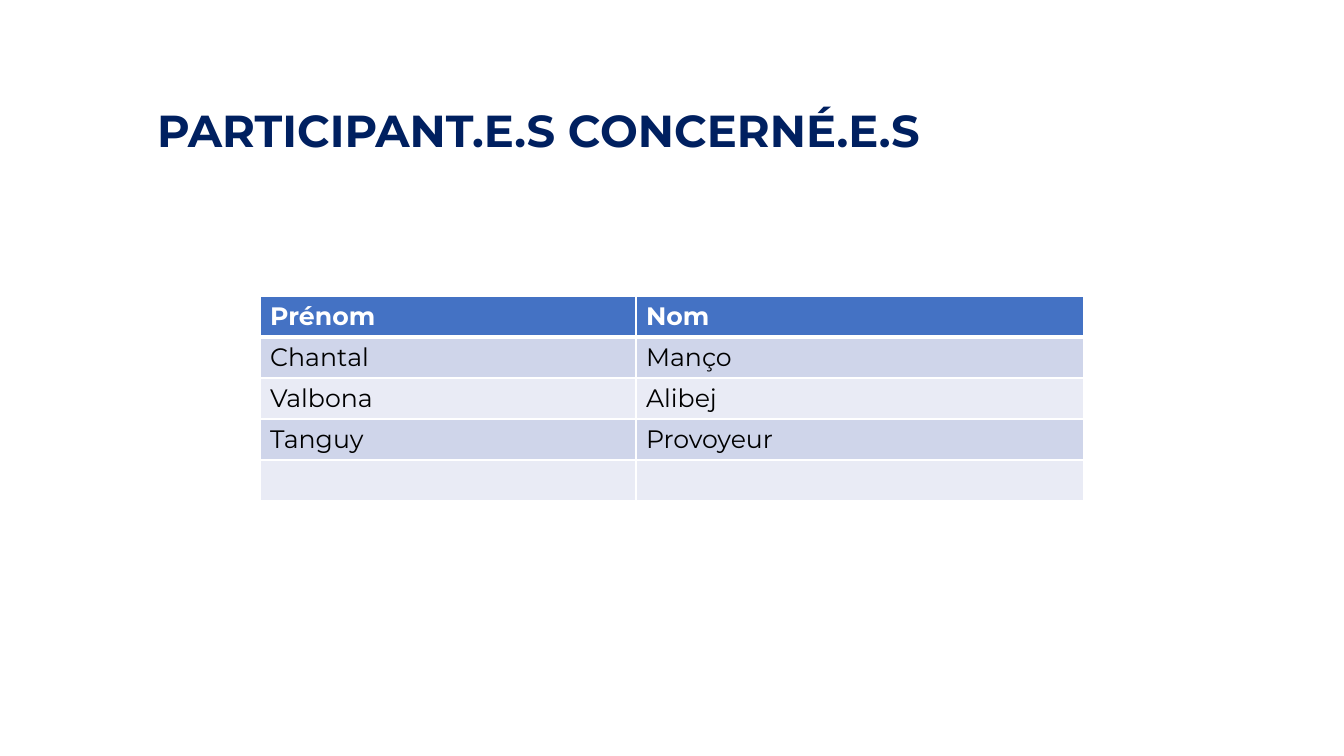
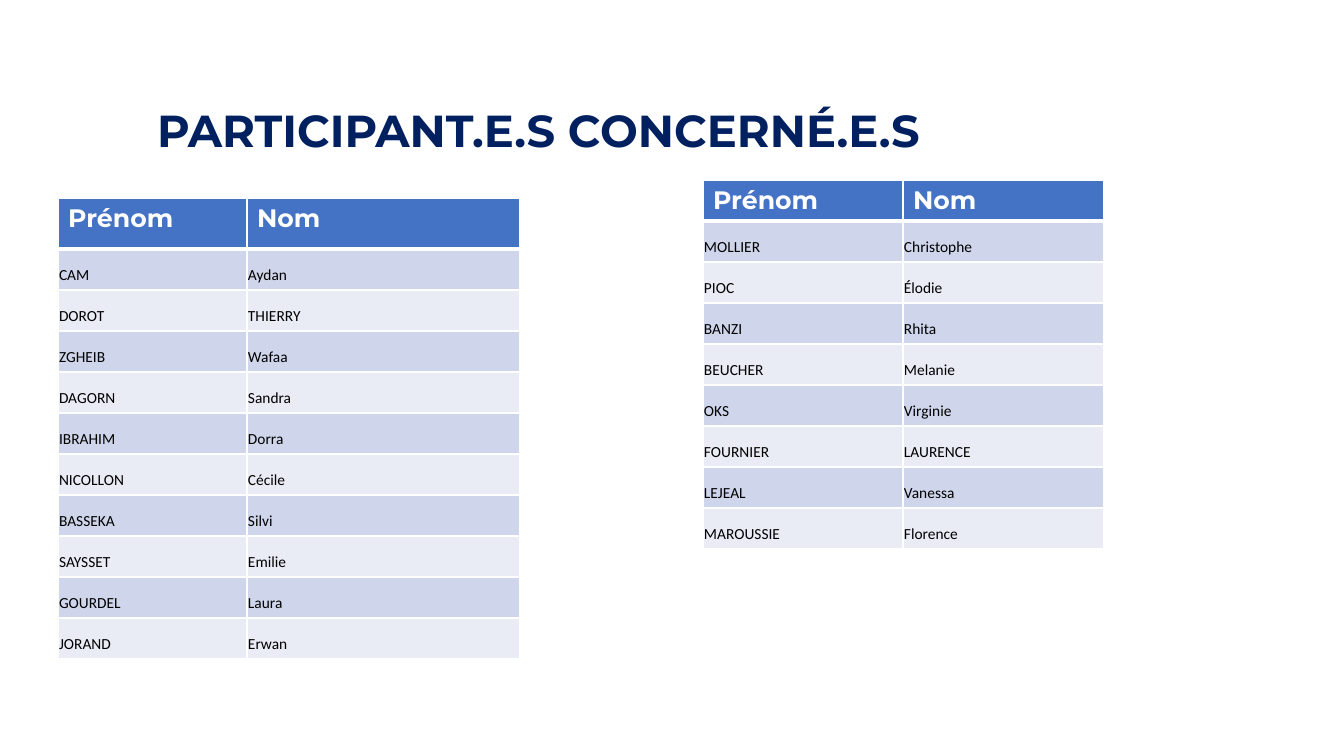
import pptx
import pptx.dml.color
import pptx.enum.text
import pptx.oxml
import pptx.oxml.ns
import pptx.util
from dataclasses import dataclass

# Content: lengths in px
TITLE = "PARTICIPANT.E.S CONCERNÉ.E.S"
TITLE_BOX = (147, 98, 794, 64)
HEADINGS = ("Prénom", "Nom")
ROW_HEIGHT = 41

SLIDES = [
    [
        {
            "at": (260, 296), "columns": (376, 448), "header": 41, "style": "large",
            "people": [
                ("Chantal", "Manço"), ("Valbona", "Alibej"),
                ("Tanguy", "Provoyeur"), ("", ""),
            ],
        },
    ],
    [
        {
            "at": (703, 180), "columns": (200, 201), "header": 41, "style": "compact",
            "people": [
                ("MOLLIER", "Christophe"), ("PIOC", "Élodie"),
                ("BANZI", "Rhita"), ("BEUCHER", "Melanie"),
                ("OKS", "Virginie"), ("FOURNIER", "LAURENCE"),
                ("LEJEAL", "Vanessa"), ("MAROUSSIE", "Florence"),
            ],
        },
        {
            "at": (58, 198), "columns": (189, 273), "header": 51, "style": "compact",
            "people": [
                ("CAM", "Aydan"), ("DOROT", "THIERRY"), ("ZGHEIB", "Wafaa"),
                ("DAGORN", "Sandra"), ("IBRAHIM", "Dorra"), ("NICOLLON", "Cécile"),
                ("BASSEKA", "Silvi"), ("SAYSSET", "Emilie"),
                ("GOURDEL", "Laura"), ("JORAND", "Erwan"),
            ],
        },
    ],
]


@dataclass(frozen=True)
class Theme:
    title: str = "002060"
    header: str = "4472C4"
    bands: tuple = ("CFD5EA", "E9EBF5")
    white: str = "FFFFFF"
    ink: str = "000000"
    heading_font: str = "Montserrat"
    compact_font: str = "Calibri"
    title_size: int = 32
    large_size: int = 18
    compact_size: int = 11
    thin_line: int = 1
    thick_line: int = 3


THEME = Theme()
BODY_FONTS = {
    "large": (THEME.heading_font, THEME.large_size),
    "compact": (THEME.compact_font, THEME.compact_size),
}


def px(length):
    return pptx.util.Emu(round(length * 914400 / 100.8))


def add_run(para, text, font, size, color, bold=False):
    span = para.add_run()
    span.text = text
    span.font.name = font
    span.font.size = pptx.util.Pt(size)
    span.font.bold = bold
    span.font.color.rgb = pptx.dml.color.RGBColor.from_string(color)


def add_title(page):
    box = page.shapes.title
    box.left, box.top, box.width, box.height = map(px, TITLE_BOX)
    frame = box.text_frame
    frame.word_wrap = True
    frame.auto_size = pptx.enum.text.MSO_AUTO_SIZE.NONE
    frame.vertical_anchor = pptx.enum.text.MSO_ANCHOR.TOP
    para = frame.paragraphs[0]
    para.alignment = pptx.enum.text.PP_ALIGN.LEFT
    add_run(para, TITLE, THEME.heading_font, THEME.title_size, THEME.title, True)


def set_borders(cell, top, bottom):
    properties = cell._tc.get_or_add_tcPr()
    widths = {"lnL": THEME.thin_line, "lnR": THEME.thin_line, "lnT": top, "lnB": bottom}
    for index, (side, width) in enumerate(widths.items()):
        line = pptx.oxml.parse_xml(
            f'<a:{side} {pptx.oxml.ns.nsdecls("a")} w="{pptx.util.Pt(width)}">'
            f'<a:solidFill><a:srgbClr val="{THEME.white}"/></a:solidFill></a:{side}>')
        properties.insert(index, line)


def format_cell(cell, text, row, style):
    is_header = row == 0
    fill = THEME.header if is_header else THEME.bands[(row - 1) % 2]
    cell.fill.solid()
    cell.fill.fore_color.rgb = pptx.dml.color.RGBColor.from_string(fill)
    # The thick rule lies between the header and the first person
    set_borders(cell,
                THEME.thick_line if row == 1 else THEME.thin_line,
                THEME.thick_line if is_header else THEME.thin_line)
    if style == "compact" and not is_header:
        cell.margin_left = cell.margin_right = cell.margin_top = px(1)
        cell.margin_bottom = px(5)
        cell.vertical_anchor = pptx.enum.text.MSO_ANCHOR.BOTTOM
    if text:
        font, size = BODY_FONTS["large" if is_header else style]
        color = THEME.white if is_header else THEME.ink
        add_run(cell.text_frame.paragraphs[0], text, font, size, color, is_header)


def add_people_table(page, spec_data):
    rows = [HEADINGS, *spec_data["people"]]
    heights = [spec_data["header"]] + [ROW_HEIGHT] * len(spec_data["people"])
    columns = spec_data["columns"]
    left, top = spec_data["at"]
    table = page.shapes.add_table(
        len(rows), len(columns), px(left), px(top),
        px(sum(columns)), px(sum(heights))).table
    table.horz_banding = False
    for column, width in zip(table.columns, columns):
        column.width = px(width)
    for row, (names, height) in enumerate(zip(rows, heights)):
        table.rows[row].height = px(height)
        for column, name in enumerate(names):
            format_cell(table.cell(row, column), name, row, spec_data["style"])


def main():
    deck = pptx.Presentation()
    deck.slide_width, deck.slide_height = px(1344), px(756)
    title_only = deck.slide_layouts[5]
    for tables in SLIDES:
        page = deck.slides.add_slide(title_only)
        add_title(page)
        for people_table in tables:
            add_people_table(page, people_table)
    deck.save("out.pptx")


if __name__ == "__main__":
    main()
